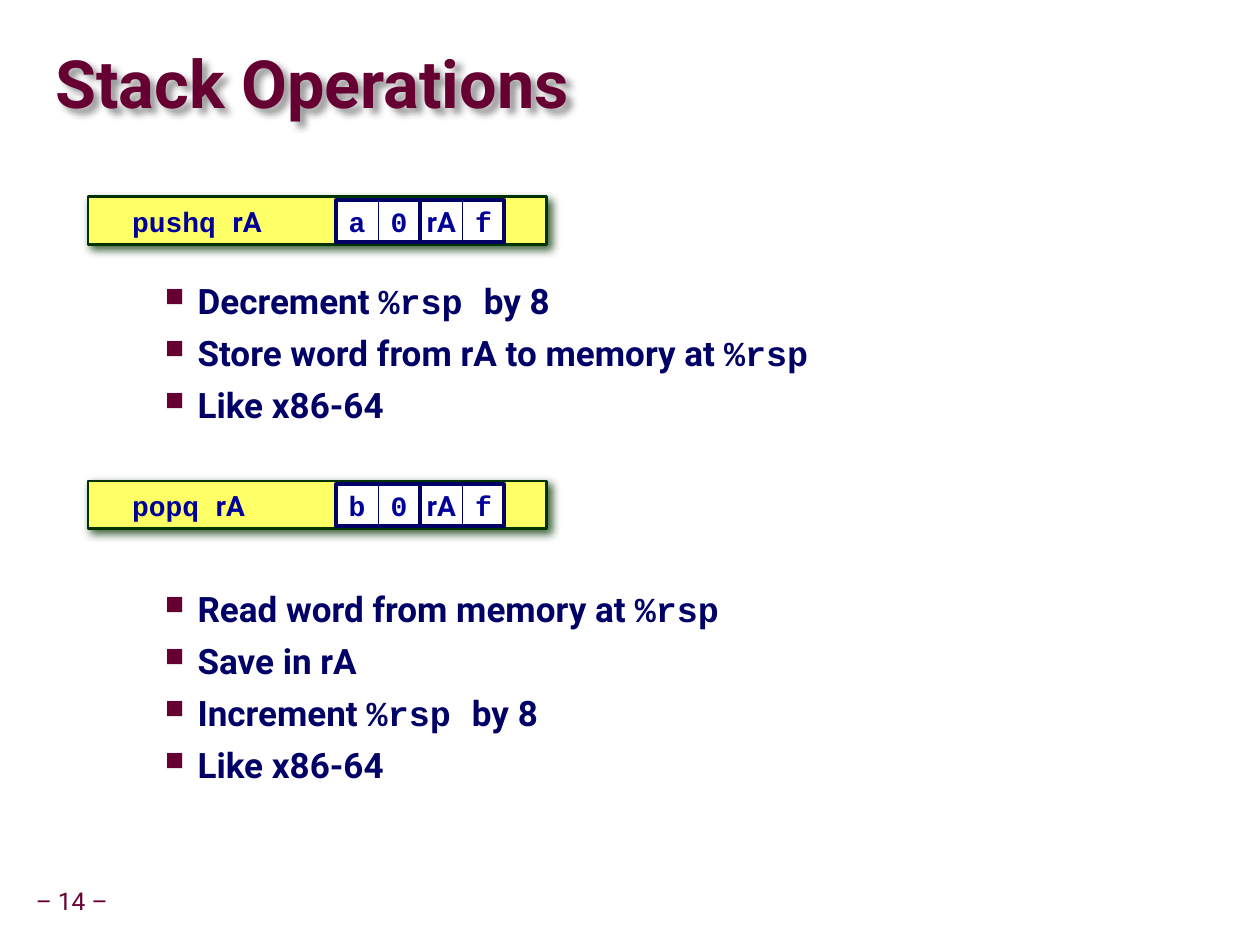
import pptx
import pptx.util
import pptx.dml.color
import pptx.enum.shapes
import pptx.enum.text
import pptx.oxml
import pptx.oxml.ns

RGB = pptx.dml.color.RGBColor
Pt = pptx.util.Pt
ALIGN = pptx.enum.text.PP_ALIGN
ANCHOR = pptx.enum.text.MSO_ANCHOR

MAROON = RGB(0x66, 0x00, 0x33)
NAVY = RGB(0x00, 0x00, 0x66)
CODE_BLUE = RGB(0x00, 0x00, 0x99)
YELLOW = RGB(0xFF, 0xFF, 0x66)
DARK_GREEN = RGB(0x00, 0x33, 0x00)
WHITE = RGB(0xFF, 0xFF, 0xFF)
BLACK = RGB(0x00, 0x00, 0x00)

COLUMNS, ROWS = 30, 22.5
BODY_FONT, CODE_FONT = "Roboto", "Courier New"
DRAWING_NS = 'xmlns:a="http://schemas.openxmlformats.org/drawingml/2006/main"'


class InstructionSlide:
    """Draws on one slide; all lengths are in grid columns and rows."""

    def __init__(self, deck):
        self.column = deck.slide_width / COLUMNS
        self.row = deck.slide_height / ROWS
        self.slide = deck.slides.add_slide(deck.slide_layouts[6])

    def place(self, left, top, width, height):
        return (round(left * self.column), round(top * self.row),
                round(width * self.column), round(height * self.row))

    def add_runs(self, paragraph, markup, size, color, bold=True):
        """Adds the text; parts between backticks use the code font."""
        for index, part in enumerate(markup.split("`")):
            if not part:
                continue
            run = paragraph.add_run()
            run.text = part
            run.font.name = CODE_FONT if index % 2 else BODY_FONT
            run.font.size = Pt(size)
            run.font.bold = bold
            run.font.color.rgb = color

    def text(self, box, markup, size, color, bold=True, margin=0.0,
             align=ALIGN.LEFT, spacing=None, wrap=True, parent=None):
        shape = (parent or self.slide).shapes.add_textbox(*self.place(*box))
        self.format_frame(shape.text_frame, margin, wrap)
        paragraph = shape.text_frame.paragraphs[0]
        paragraph.alignment = align
        paragraph.line_spacing = spacing
        self.add_runs(paragraph, markup, size, color, bold)
        return shape

    def format_frame(self, frame, margin, wrap):
        frame.word_wrap = wrap
        frame.vertical_anchor = ANCHOR.MIDDLE
        frame.margin_left = frame.margin_right = round(margin * self.column)
        frame.margin_top = frame.margin_bottom = round(margin * self.row)

    def rectangle(self, parent, box, line, weight, fill=None):
        shape = parent.shapes.add_shape(
            pptx.enum.shapes.MSO_SHAPE.RECTANGLE, *self.place(*box))
        shape.shadow.inherit = False
        if fill is None:
            shape.fill.background()
        else:
            shape.fill.solid()
            shape.fill.fore_color.rgb = fill
        shape.line.color.rgb = line
        shape.line.width = Pt(weight)
        return shape

    def shadow(self, shape, color, opacity, blur, distance):
        shape.shadow.inherit = False
        effects = shape._element.spPr.find(pptx.oxml.ns.qn("a:effectLst"))
        effects.append(pptx.oxml.parse_xml(
            f'<a:outerShdw {DRAWING_NS} blurRad="{Pt(blur)}" dist="{Pt(distance)}" '
            f'dir="2700000" algn="tl" rotWithShape="0"><a:srgbClr val="{color}">'
            f'<a:alpha val="{opacity * 1000}"/></a:srgbClr></a:outerShdw>'))

    def bullets(self, box, groups, gap, group_gap):
        frame = self.slide.shapes.add_textbox(*self.place(*box)).text_frame
        frame.word_wrap = True
        for group_index, group in enumerate(groups):
            for index, markup in enumerate(group):
                first = group_index == index == 0
                paragraph = frame.paragraphs[0] if first else frame.add_paragraph()
                if not first:
                    paragraph.space_before = Pt(gap if index else group_gap)
                self.add_bullet(paragraph)
                self.add_runs(paragraph, markup, 20, NAVY)

    def add_bullet(self, paragraph):
        properties = paragraph._p.get_or_add_pPr()
        properties.set("marL", str(pptx.util.Inches(0.8)))
        properties.set("indent", str(pptx.util.Inches(-0.26)))
        for element in (f'<a:buClr {DRAWING_NS}><a:srgbClr val="{MAROON}"/></a:buClr>',
                        f'<a:buSzPct {DRAWING_NS} val="75000"/>',
                        f'<a:buChar {DRAWING_NS} char="■"/>'):
            properties.append(pptx.oxml.parse_xml(element))

    def instruction(self, top, label, encoding):
        """Yellow bar with an assembly label and its bytes, two cells per byte."""
        group = self.slide.shapes.add_group_shape()
        bar = self.rectangle(group, (2.1, top, 10.92, 1.14), DARK_GREEN, 1.5, YELLOW)
        self.shadow(bar, DARK_GREEN, 75, 5, 3)
        cell_top = top + 0.08
        self.text((2.85, cell_top, 6.27, 1), label, 16, CODE_BLUE,
                  margin=0.3, parent=group)
        for byte_index, byte in enumerate(encoding):
            byte_left = 8 + 2.01 * byte_index
            for index, digit in enumerate(byte):
                cell = self.rectangle(group, (byte_left + index, cell_top, 1, 1),
                                      NAVY, 0.5, WHITE)
                self.format_frame(cell.text_frame, 0, False)
                paragraph = cell.text_frame.paragraphs[0]
                paragraph.alignment = ALIGN.CENTER
                self.add_runs(paragraph, digit, 16, CODE_BLUE)
            self.rectangle(group, (byte_left, cell_top, 2, 1), NAVY, 2.25)


def main():
    deck = pptx.Presentation()
    deck.slide_width = pptx.util.Inches(10)
    deck.slide_height = pptx.util.Inches(7.5)

    page = InstructionSlide(deck)
    page.text((0.69, 21, 2.04, 0.96), "– 14 –", 14, MAROON, bold=False,
              margin=0.15, align=ALIGN.CENTER, spacing=0.9, wrap=False)
    title = page.text((1.32, 0.81, 28.59, 2.55), "Stack Operations", 38, MAROON,
                      spacing=0.87)
    page.shadow(title, BLACK, 40, 4, 4)

    push_steps = ["Decrement `%rsp `by 8",
                  "Store word from rA to memory at `%rsp`",
                  "Like x86-64"]
    pop_steps = ["Read word from memory at `%rsp`",
                 "Save in rA",
                 "Increment `%rsp `by 8",
                 "Like x86-64"]
    page.bullets((2.01, 6.51, 25.29, 5.1), [push_steps, pop_steps],
                 gap=5.7, group_gap=92.5)

    for top, name, code in ((4.68, "pushq", "a"), (11.45, "popq", "b")):
        page.instruction(top, f"`{name} `rA", [(f"`{code}`", "`0`"), ("rA", "`f`")])

    deck.save("out.pptx")


if __name__ == "__main__":
    main()
